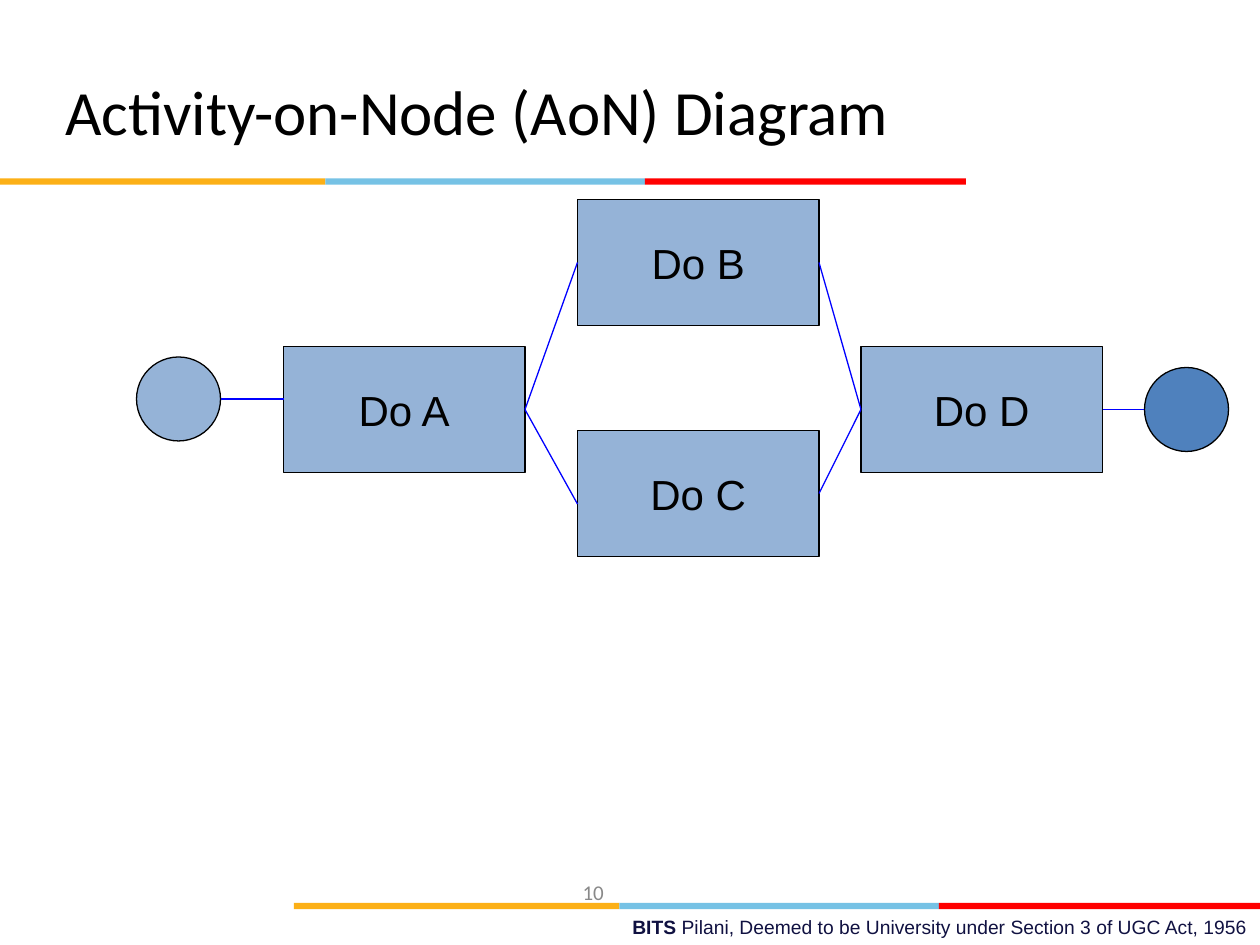
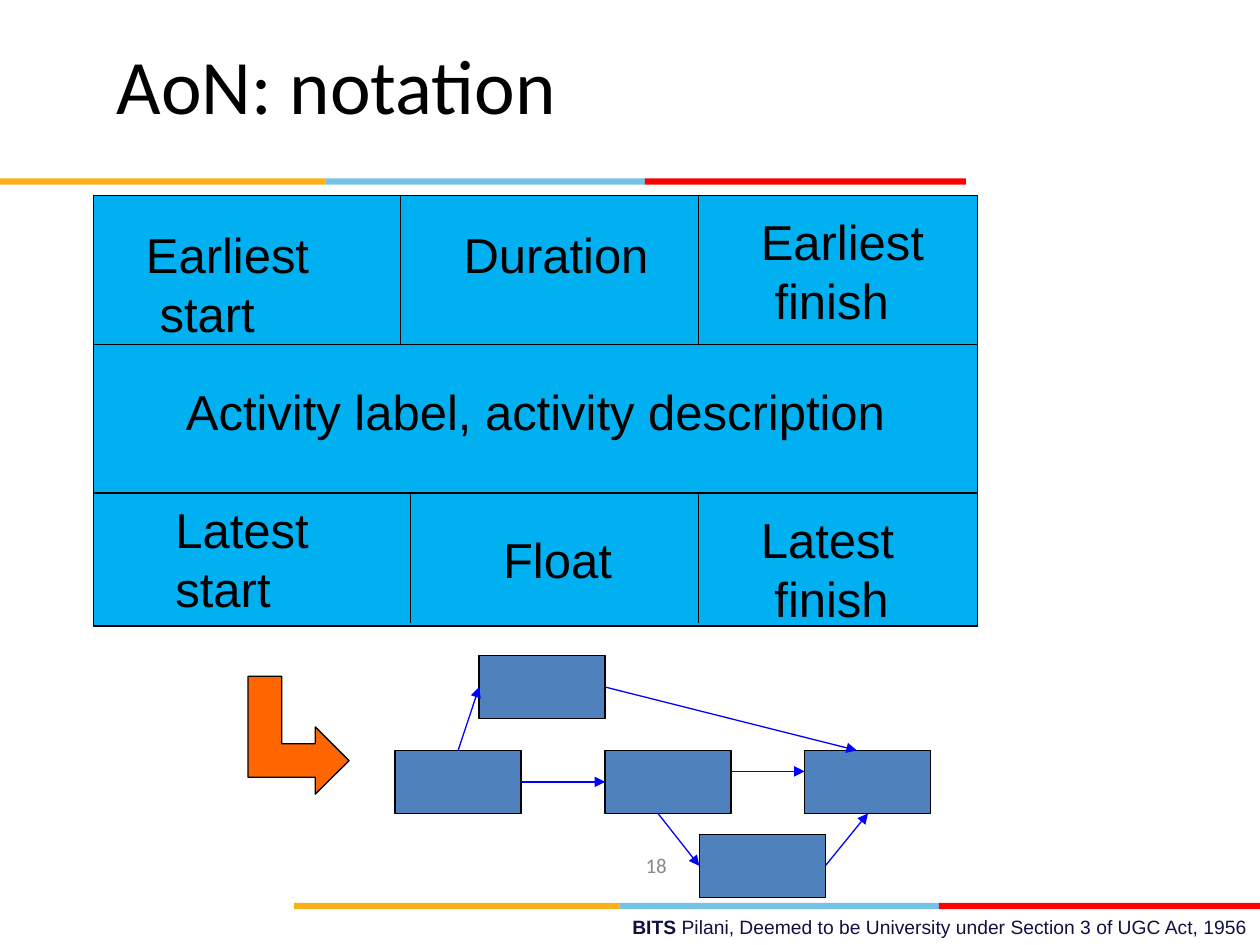
from lxml import etree
from pptx import Presentation
from pptx.dml.color import RGBColor
from pptx.enum import shapes, text
from pptx.oxml import ns
from pptx.util import Pt

HUES = {
    "black": "000000", "navy": "101141", "grey": "898989", "link": "0000FF",
    "gold": "FCB017", "sky": "76C2E5", "red": "FF0000",
    "pale": "95B3D7", "steel": "4F81BD", "cyan": "00B0F0", "orange": "FF6600",
}
RECT = shapes.MSO_SHAPE.RECTANGLE
OVAL = shapes.MSO_SHAPE.OVAL
LEFT, MID, RIGHT = text.PP_ALIGN.LEFT, text.PP_ALIGN.CENTER, text.PP_ALIGN.RIGHT
STRIPES = [("gold", 0, 186), ("sky", 186, 368.6), ("red", 368.6, 552)]
CREDIT = ("BITS ", "Pilani, Deemed to be University under Section 3 of UGC Act, 1956")


def rgb(hue):
    return RGBColor.from_string(HUES[hue])


def style(para, size, face="Arial", hue="black", align=LEFT):
    para.alignment = align
    for run in para.runs:
        run.font.size, run.font.name = Pt(size), face
        run.font.color.rgb = rgb(hue)


def paint(shape, fill, edge=True):
    shape.shadow.inherit = False
    shape.fill.solid()
    shape.fill.fore_color.rgb = rgb(fill)
    if edge:
        shape.line.color.rgb = rgb("black")
        shape.line.width = Pt(0.75)
    else:
        shape.line.fill.background()


def block(slide, x, y, w, h, fill, words="", size=24, kind=RECT, edge=True):
    shape = slide.shapes.add_shape(kind, Pt(x), Pt(y), Pt(w), Pt(h))
    paint(shape, fill, edge)
    if words:
        frame = shape.text_frame
        frame.text = words
        frame.word_wrap = False
        frame.vertical_anchor = text.MSO_ANCHOR.MIDDLE
        style(frame.paragraphs[0], size, align=MID)


def line(slide, x1, y1, x2, y2, hue="link", arrow=False):
    link = slide.shapes.add_connector(
        shapes.MSO_CONNECTOR.STRAIGHT, Pt(x1), Pt(y1), Pt(x2), Pt(y2))
    link.line.color.rgb = rgb(hue)
    link.line.width = Pt(0.75)
    props = link.element.spPr
    etree.SubElement(props, ns.qn("a:effectLst"))
    if arrow:
        etree.SubElement(props.find(ns.qn("a:ln")), ns.qn("a:tailEnd"), type="triangle")


def box(slide, x, y, w, h, words):
    frame = slide.shapes.add_textbox(Pt(x), Pt(y), Pt(w), Pt(h)).text_frame
    frame.text = words
    frame.word_wrap = True
    return frame


def label(slide, x, y, w, *rows, indent=0):
    frame = box(slide, x, y, w, 41 if len(rows) == 1 else 75, "\n".join(rows))
    for para in frame.paragraphs:
        style(para, 28)
    if indent:
        props = frame.paragraphs[-1]._p.get_or_add_pPr()
        props.set("marL", str(Pt(indent)))


def start(deck, head, size, spot, page, place):
    """Add a slide with its title, bands, footer and page number."""
    slide = deck.slides.add_slide(deck.slide_layouts[5])
    for x, y in ((168, 516), (0, 102)):
        for hue, begin, end in STRIPES:
            block(slide, x + begin, y, end - begin, 3.6, hue, edge=False)

    # Footer
    para = box(slide, 258, 519.2, 462, 21, CREDIT[0]).paragraphs[0]
    para.add_run().text = CREDIT[1]
    style(para, 11, hue="navy", align=RIGHT)
    para.runs[0].font.bold = True

    # Page number
    frame = box(slide, *place, 306, 20, page)
    frame.vertical_anchor = text.MSO_ANCHOR.MIDDLE
    style(frame.paragraphs[0], 12, "Calibri", "grey", MID)

    # Title
    title = slide.shapes.title
    title.left, title.top, title.width, title.height = map(Pt, spot)
    title.text_frame.text = head
    title.text_frame.vertical_anchor = text.MSO_ANCHOR.MIDDLE
    style(title.text_frame.paragraphs[0], size, "Calibri")
    return slide


def nodes(deck):
    slide = start(deck, "Activity-on-Node (AoN) Diagram", 36,
                  (30, 24, 648, 78), "10", (186, 500))
    # Activities, with start and end
    for name, x, y in (("A", 162, 198), ("C", 330, 246), ("B", 330, 114), ("D", 492, 198)):
        block(slide, x, y, 138, 72, "pale", f"Do {name}")
    block(slide, 78, 204, 48, 48, "pale", kind=OVAL)
    block(slide, 654, 210, 48, 48, "steel", kind=OVAL)

    # Links
    for ends in ((126, 228, 162, 228), (300, 234, 330, 150), (300, 234, 330, 288),
                 (468, 282, 492, 234), (468, 150, 492, 234), (630, 234, 654, 234)):
        line(slide, *ends)


def legend(deck):
    slide = start(deck, "AoN: notation", 44, (59.6, 18, 451, 60), "18", (222, 484.5))

    # Notation box with its dividers
    left, top, right, low = 53.4, 111.6, 558.4, 355.8
    upper, lower = 196.8, 281.8
    block(slide, left, top, right - left, 246.2, "cyan",
          "Activity label, activity description", 28)
    for y in (upper, lower):
        line(slide, left, y, right, y, "black")
    for x, y1, y2 in ((229, top, upper), (399, top, upper),
                      (234.6, lower, low), (399, lower, low)):
        line(slide, x, y1, x, y2, "black")

    # Cell labels, each wide enough for its longest word
    label(slide, 257.8, 124.6, 130, "Duration")
    label(slide, 76.3, 124.6, 120, "Earliest", "start", indent=7.8)
    label(slide, 427.7, 117.6, 120, "Earliest", "finish", indent=7.8)
    label(slide, 93.2, 281.8, 105, "Latest", "start")
    label(slide, 427.7, 287.5, 105, "Latest", "finish", indent=7.8)
    label(slide, 280.4, 298.8, 90, "Float")

    # Small network
    for x, y in ((345.8, 428.8), (225.8, 428.8), (273.8, 374.6), (459.8, 428.8), (399.6, 476.8)):
        block(slide, x, y, 72, 36, "steel")
    for ends in ((297.8, 446.8, 345.8, 446.8), (261.8, 428.8, 273.8, 392.6),
                 (345.8, 392.6, 489.6, 428.8), (417.8, 440.8, 459.8, 440.8),
                 (376, 464.8, 399.6, 494.8), (471.6, 494.8, 496, 464.8)):
        line(slide, *ends, arrow=True)

    # Bent arrow
    tip, *rest = [(199.5, 434.7), (180.2, 415.4), (180.2, 425), (161, 425), (161, 386.5),
                  (141.8, 386.5), (141.8, 444.2), (180.2, 444.2), (180.2, 453.8)]
    pen = slide.shapes.build_freeform(Pt(tip[0]), Pt(tip[1]))
    pen.add_line_segments([(Pt(x), Pt(y)) for x, y in rest])
    paint(pen.convert_to_shape(), "orange")


def main():
    deck = Presentation()
    deck.slide_width, deck.slide_height = Pt(720), Pt(540)
    nodes(deck)
    legend(deck)
    deck.save("out.pptx")


if __name__ == "__main__":
    main()
